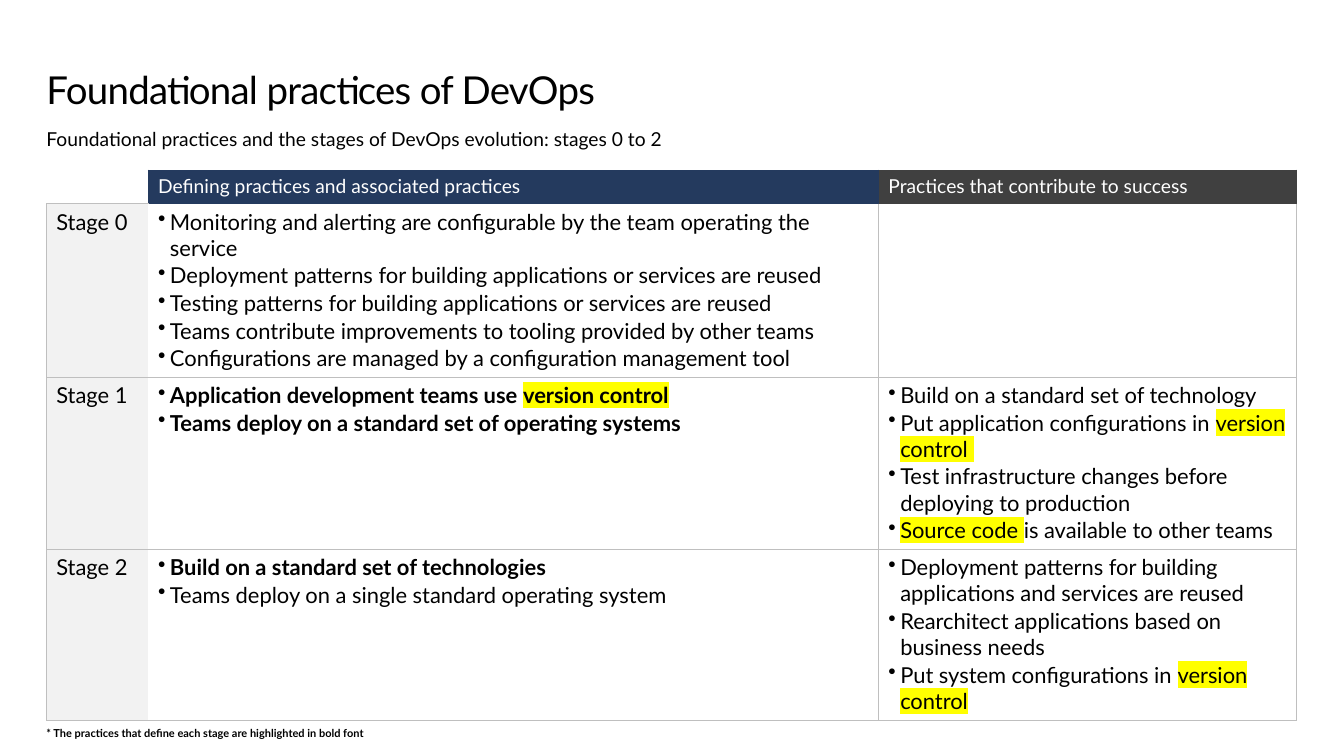
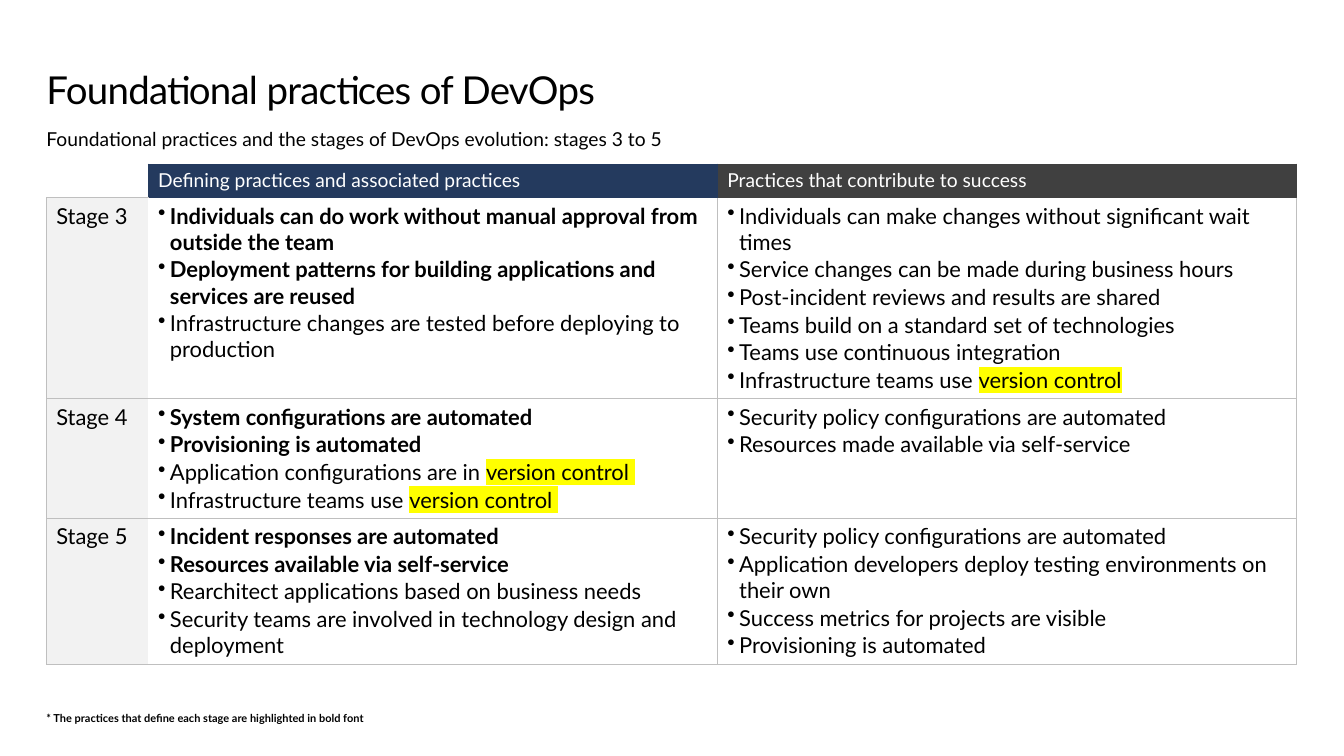
"""Build two slides that tabulate the foundational practices of DevOps by stage."""
from dataclasses import dataclass

from lxml import etree
from pptx import Presentation
from pptx.dml.color import RGBColor
from pptx.enum.text import MSO_ANCHOR, MSO_AUTO_SIZE
from pptx.oxml.ns import qn
from pptx.slide import Slide
from pptx.table import _Cell
from pptx.text.text import _Paragraph
from pptx.util import Emu, Pt

TOP, MIDDLE = MSO_ANCHOR.TOP, MSO_ANCHOR.MIDDLE
GROW = MSO_AUTO_SIZE.SHAPE_TO_FIT_TEXT

EMU_PER_PX = 9144
SLIDE_WIDTH, SLIDE_HEIGHT = 1360, 765
LEFT, TABLE_WIDTH, NOTE_WIDTH = 47, 1265, 1186
STAGE_WIDTH, HEADER_HEIGHT, BULLET_INDENT = 103, 34, 12

FONT = "Lato"
BLACK, WHITE, NAVY, CHARCOAL = "000000", "FFFFFF", "243A5E", "404040"
PALE_GREY, BORDER_GREY, YELLOW = "F2F2F2", "BFBFBF", "FFFF00"
PLAIN_TABLE_STYLE = "{2D5ABB26-0587-4C30-8999-92F81FD0307C}"

TITLE = "Foundational practices of DevOps"
SUBTITLE = "Foundational practices and the stages of DevOps evolution: stages "
FOOTNOTE = "* The practices that define each stage are highlighted in bold font"


@dataclass(frozen=True)
class Practice:
    """One bullet; text between bars is highlighted."""
    text: str
    bold: bool = False


@dataclass(frozen=True)
class Stage:
    """One table row."""
    name: str
    height: int
    defining: tuple[Practice, ...]
    contributing: tuple[Practice, ...]


@dataclass(frozen=True)
class StageSlide:
    """One slide with a table of stages."""
    stage_range: str
    table_top: int
    defining_width: int
    footnote_top: int
    stages: tuple[Stage, ...]


@dataclass(frozen=True)
class TextStyle:
    """Size, colour and weight of a paragraph."""
    size: int
    color: str = BLACK
    bold: bool = False


TITLE_STYLE = TextStyle(28)
SUBTITLE_STYLE = TextStyle(14)
HEADER_STYLE = TextStyle(14, WHITE)
BODY_STYLE = TextStyle(16)
BOLD_STYLE = TextStyle(16, bold=True)
FOOTNOTE_STYLE = TextStyle(8, bold=True)

STAGE_SLIDES = (
    StageSlide("0 to 2", 172, 739, 735, (
        Stage("Stage 0", 175, (
            Practice("Monitoring and alerting are configurable by the team operating the service"),
            Practice("Deployment patterns for building applications or services are reused"),
            Practice("Testing patterns for building applications or services are reused"),
            Practice("Teams contribute improvements to tooling provided by other teams"),
            Practice("Configurations are managed by a configuration management tool"),
        ), ()),
        Stage("Stage 1", 174, (
            Practice("Application development teams use |version control|", True),
            Practice("Teams deploy on a standard set of operating systems", True),
        ), (
            Practice("Build on a standard set of technology"),
            Practice("Put application configurations in |version control |"),
            Practice("Test infrastructure changes before deploying to production"),
            Practice("|Source code |is available to other teams"),
        )),
        Stage("Stage 2", 173, (
            Practice("Build on a standard set of technologies", True),
            Practice("Teams deploy on a single standard operating system"),
        ), (
            Practice("Deployment patterns for building applications and services are reused"),
            Practice("Rearchitect applications based on business needs"),
            Practice("Put system configurations in |version control|"),
        )),
    )),
    StageSlide("3 to 5", 166, 576, 720, (
        Stage("Stage 3", 203, (
            Practice("Individuals can do work without manual approval from outside the team", True),
            Practice("Deployment patterns for building applications and services are reused", True),
            Practice("Infrastructure changes are tested before deploying to production"),
        ), (
            Practice("Individuals can make changes without significant wait times"),
            Practice("Service changes can be made during business hours"),
            Practice("Post-incident reviews and results are shared"),
            Practice("Teams build on a standard set of technologies"),
            Practice("Teams use continuous integration"),
            Practice("Infrastructure teams use |version control|"),
        )),
        Stage("Stage 4", 121, (
            Practice("System configurations are automated", True),
            Practice("Provisioning is automated", True),
            Practice("Application configurations are in |version control |"),
            Practice("Infrastructure teams use |version control |"),
        ), (
            Practice("Security policy configurations are automated"),
            Practice("Resources made available via self-service"),
        )),
        Stage("Stage 5", 147, (
            Practice("Incident responses are automated", True),
            Practice("Resources available via self-service", True),
            Practice("Rearchitect applications based on business needs"),
            Practice("Security teams are involved in technology design and deployment"),
        ), (
            Practice("Security policy configurations are automated"),
            Practice("Application developers deploy testing environments on their own"),
            Practice("Success metrics for projects are visible"),
            Practice("Provisioning is automated"),
        )),
    )),
)


def px(length: int) -> Emu:
    """Turn pixels into EMU."""
    return Emu(length * EMU_PER_PX)


def rgb(color: str) -> RGBColor:
    """Turn a hex string into a colour."""
    return RGBColor.from_string(color)


def write_paragraph(paragraph: _Paragraph, text: str, style: TextStyle) -> None:
    """Write text, highlighting the parts between bars."""
    font = paragraph.font
    font.name, font.size, font.bold = FONT, Pt(style.size), style.bold
    font.color.rgb = rgb(style.color)
    for index, part in enumerate(text.split("|")):
        if not part:
            continue
        run = paragraph.add_run()
        run.text = part
        if index % 2:
            highlight = etree.SubElement(run._r.get_or_add_rPr(), qn("a:highlight"))
            etree.SubElement(highlight, qn("a:srgbClr"), val=YELLOW)


def add_text(slide: Slide, text: str, top: int, width: int, height: int,
             style: TextStyle, anchor: MSO_ANCHOR = MIDDLE) -> _Paragraph:
    """Add a text box without insets and return its paragraph."""
    frame = slide.shapes.add_textbox(px(LEFT), px(top), px(width), px(height)).text_frame
    frame.margin_left = frame.margin_right = frame.margin_top = frame.margin_bottom = 0
    frame.word_wrap = True
    frame.auto_size = GROW
    frame.vertical_anchor = anchor
    paragraph = frame.paragraphs[0]
    write_paragraph(paragraph, text, style)
    return paragraph


def style_cell(cell: _Cell, sides: str, border: str, fill: str = "") -> None:
    """Draw the named borders of a cell and set its fill."""
    properties = cell._tc.get_or_add_tcPr()
    for side in "LRTB":
        if side in sides:
            line = etree.SubElement(properties, qn(f"a:ln{side}"), w=str(Pt(0.5)))
            solid = etree.SubElement(line, qn("a:solidFill"))
            etree.SubElement(solid, qn("a:srgbClr"), val=border)
    if fill:
        cell.fill.solid()
        cell.fill.fore_color.rgb = rgb(fill)
    else:
        cell.fill.background()


def write_practices(cell: _Cell, practices: tuple[Practice, ...]) -> None:
    """Fill a cell with bulleted practices."""
    frame = cell.text_frame
    if not practices:
        write_paragraph(frame.paragraphs[0], "", BODY_STYLE)
    for index, practice in enumerate(practices):
        paragraph = frame.add_paragraph() if index else frame.paragraphs[0]
        paragraph.space_before = Pt(1)
        properties = paragraph._p.get_or_add_pPr()
        properties.set("marL", str(px(BULLET_INDENT)))
        properties.set("indent", str(-px(BULLET_INDENT)))
        etree.SubElement(properties, qn("a:buChar"), char="•")
        write_paragraph(paragraph, practice.text, BOLD_STYLE if practice.bold else BODY_STYLE)


def add_stage_table(slide: Slide, content: StageSlide) -> None:
    """Add the table with a header row and one row per stage."""
    heights = [HEADER_HEIGHT] + [stage.height for stage in content.stages]
    contributing_width = TABLE_WIDTH - STAGE_WIDTH - content.defining_width
    widths = (STAGE_WIDTH, content.defining_width, contributing_width)
    table = slide.shapes.add_table(
        len(heights), len(widths), px(LEFT), px(content.table_top),
        px(TABLE_WIDTH), px(sum(heights))).table
    table.first_row = table.horz_banding = False
    table._tbl.tblPr.find(qn("a:tableStyleId")).text = PLAIN_TABLE_STYLE
    for column, width in zip(table.columns, widths):
        column.width = px(width)
    for row, height in zip(table.rows, heights):
        row.height = px(height)

    headers = (
        ("", "B", BORDER_GREY, ""),
        ("Defining practices and associated practices", "LT", NAVY, NAVY),
        ("Practices that contribute to success", "TR", CHARCOAL, CHARCOAL),
    )
    for column_index, (text, sides, border, fill) in enumerate(headers):
        cell = table.cell(0, column_index)
        style_cell(cell, sides, border, fill)
        write_paragraph(cell.text_frame.paragraphs[0], text, HEADER_STYLE)

    for row_index, stage in enumerate(content.stages, start=1):
        name_cell, defining_cell, contributing_cell = table.rows[row_index].cells
        top_side = "T" if row_index > 1 else ""
        style_cell(name_cell, "LTB", BORDER_GREY, PALE_GREY)
        style_cell(defining_cell, "RB" + top_side, BORDER_GREY)
        style_cell(contributing_cell, "LRB" + top_side, BORDER_GREY)
        write_paragraph(name_cell.text_frame.paragraphs[0], stage.name, BODY_STYLE)
        write_practices(defining_cell, stage.defining)
        write_practices(contributing_cell, stage.contributing)


def add_stage_slide(slide: Slide, content: StageSlide) -> None:
    """Draw the title, subtitle, table and footnote."""
    title = add_text(slide, TITLE, 69, TABLE_WIDTH, 45, TITLE_STYLE, TOP)
    title.line_spacing = Pt(32)
    title.runs[0]._r.get_or_add_rPr().set("spc", "-50")
    add_text(slide, SUBTITLE + content.stage_range, 128, NOTE_WIDTH, 24, SUBTITLE_STYLE)
    add_stage_table(slide, content)
    add_text(slide, FOOTNOTE, content.footnote_top, NOTE_WIDTH, 13, FOOTNOTE_STYLE)


def main() -> None:
    """Build and save the presentation."""
    presentation = Presentation()
    presentation.slide_width, presentation.slide_height = px(SLIDE_WIDTH), px(SLIDE_HEIGHT)
    blank_layout = presentation.slide_layouts[6]
    for content in STAGE_SLIDES:
        add_stage_slide(presentation.slides.add_slide(blank_layout), content)
    presentation.save("out.pptx")


if __name__ == "__main__":
    main()
